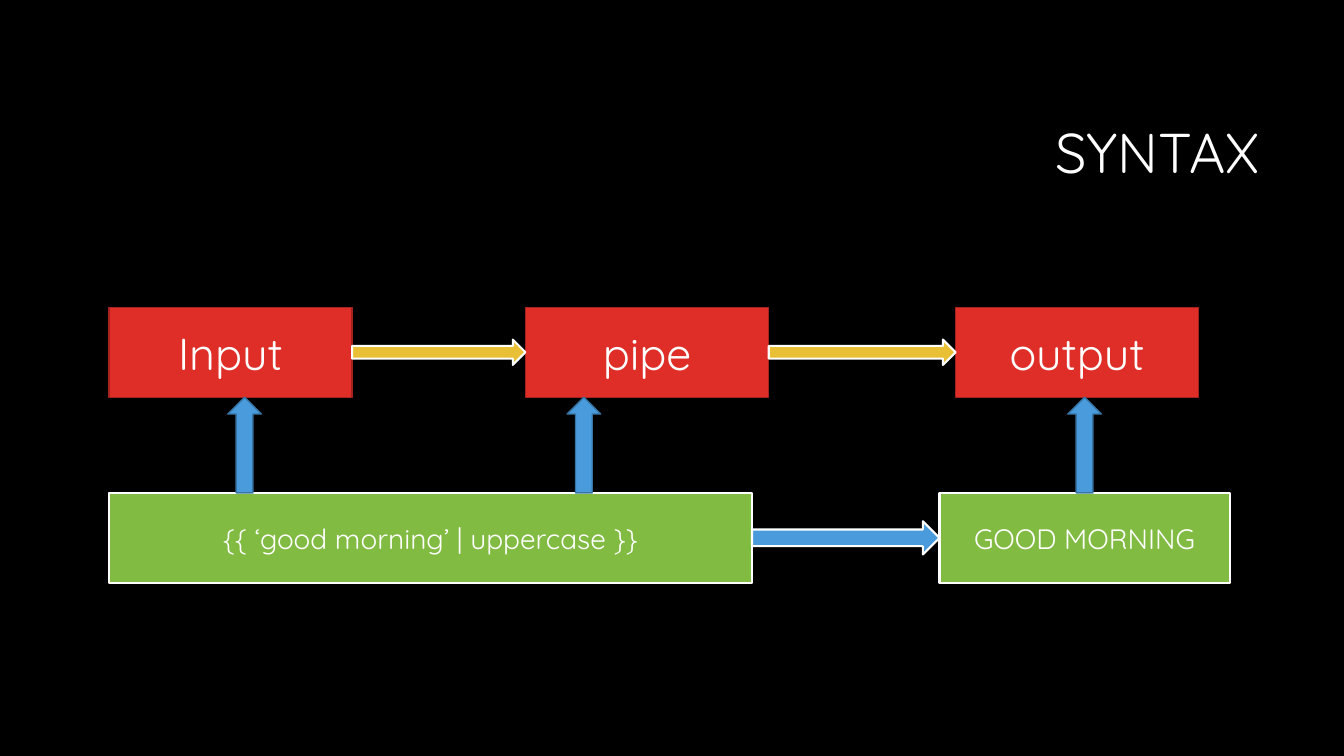
import pptx
import pptx.util
import pptx.dml.color
import pptx.enum.shapes
import pptx.enum.text

RGBColor = pptx.dml.color.RGBColor
MSO_SHAPE = pptx.enum.shapes.MSO_SHAPE
ANCHOR = pptx.enum.text.MSO_ANCHOR
ALIGN = pptx.enum.text.PP_ALIGN

BLACK = RGBColor(0x00, 0x00, 0x00)
WHITE = RGBColor(0xFF, 0xFF, 0xFF)
RED = RGBColor(0xDF, 0x2E, 0x28)
DARK_RED = RGBColor(0xA5, 0x22, 0x1E)
GOLD = RGBColor(0xE9, 0xBF, 0x35)
GREEN = RGBColor(0x81, 0xBB, 0x42)
BLUE = RGBColor(0x4A, 0x9B, 0xDC)
DARK_BLUE = RGBColor(0x37, 0x73, 0xA3)
FONT = "Quicksand"

prs = pptx.Presentation()
prs.slide_width = pptx.util.Inches(13.33)
prs.slide_height = pptx.util.Inches(7.5)


def place(left, top, width, height):
    """Turn percentages of the slide into lengths."""
    w, h = prs.slide_width / 100, prs.slide_height / 100
    return int(left * w), int(top * h), int(width * w), int(height * h)


def write(shape, text, size, align):
    """Set one line of white text, centred vertically."""
    tf = shape.text_frame
    tf.text = text
    tf.word_wrap = True
    tf.vertical_anchor = ANCHOR.MIDDLE
    p = tf.paragraphs[0]
    p.alignment = align
    font = p.runs[0].font
    font.name, font.size = FONT, pptx.util.Pt(size)
    font.color.rgb = WHITE


def add_block(s, kind, box, fill, line, line_width):
    """Add a filled and outlined shape without shadow."""
    shape = s.shapes.add_shape(kind, *place(*box))
    shape.shadow.inherit = False
    shape.fill.solid()
    shape.fill.fore_color.rgb = fill
    shape.line.color.rgb = line
    shape.line.width = pptx.util.Pt(line_width)
    return shape


def add_title(s, box, text):
    """Place the title at the right of its box."""
    title = s.shapes.title
    title.left, title.top, title.width, title.height = place(*box)
    write(title, text, 40, ALIGN.RIGHT)
    title.text_frame.paragraphs[0].line_spacing = 0.9


def add_flow_row(s, box, cells, size, style, arrow_fill, arrow_height):
    """Draw boxes in a row with right arrows filling the gaps."""
    left, top, height = box
    for text, offset, width in cells:
        cell = (left + offset, top, width, height)
        write(add_block(s, MSO_SHAPE.RECTANGLE, cell, *style), text, size, ALIGN.CENTER)
    arrow_top = top + (height - arrow_height) / 2
    for (_, offset, width), (_, following, _) in zip(cells, cells[1:]):
        start = offset + width
        gap = (left + start, arrow_top, following - start, arrow_height)
        add_block(s, MSO_SHAPE.RIGHT_ARROW, gap, arrow_fill, WHITE, 1.5)


def add_up_arrows(s, box, offsets, width):
    """Draw up arrows that span the space between two rows."""
    left, top, height = box
    for offset in offsets:
        arrow = (left + offset, top, width, height)
        add_block(s, MSO_SHAPE.UP_ARROW, arrow, BLUE, DARK_BLUE, 1)


def build_syntax_slide():
    """Build the slide that maps pipe syntax to its parts."""
    s = prs.slides.add_slide(prs.slide_layouts[5])
    s.background.fill.solid()
    s.background.fill.fore_color.rgb = BLACK
    left, row, concepts, example = 8.1, 11.9, 40.65, 65.2
    bottom = concepts + row
    part = 18.1
    add_title(s, (23.8, 11.2, 70.65, 18.8), "SYNTAX")
    add_flow_row(s, (left, concepts, row),
                 [("Input", 0, part), ("pipe", 31, part), ("output", 63, part)],
                 32, (RED, DARK_RED, 1), GOLD, 3.35)
    add_flow_row(s, (left, example, row),
                 [("{{ ‘good morning’ | uppercase }}", 0, 47.85),
                  ("GOOD MORNING", 61.8, 21.6)],
                 20, (GREEN, WHITE, 1.5), BLUE, 4.4)
    add_up_arrows(s, (left, bottom, example - bottom), (8.85, 34.1, 71.35), 2.5)


build_syntax_slide()
prs.save("out.pptx")
